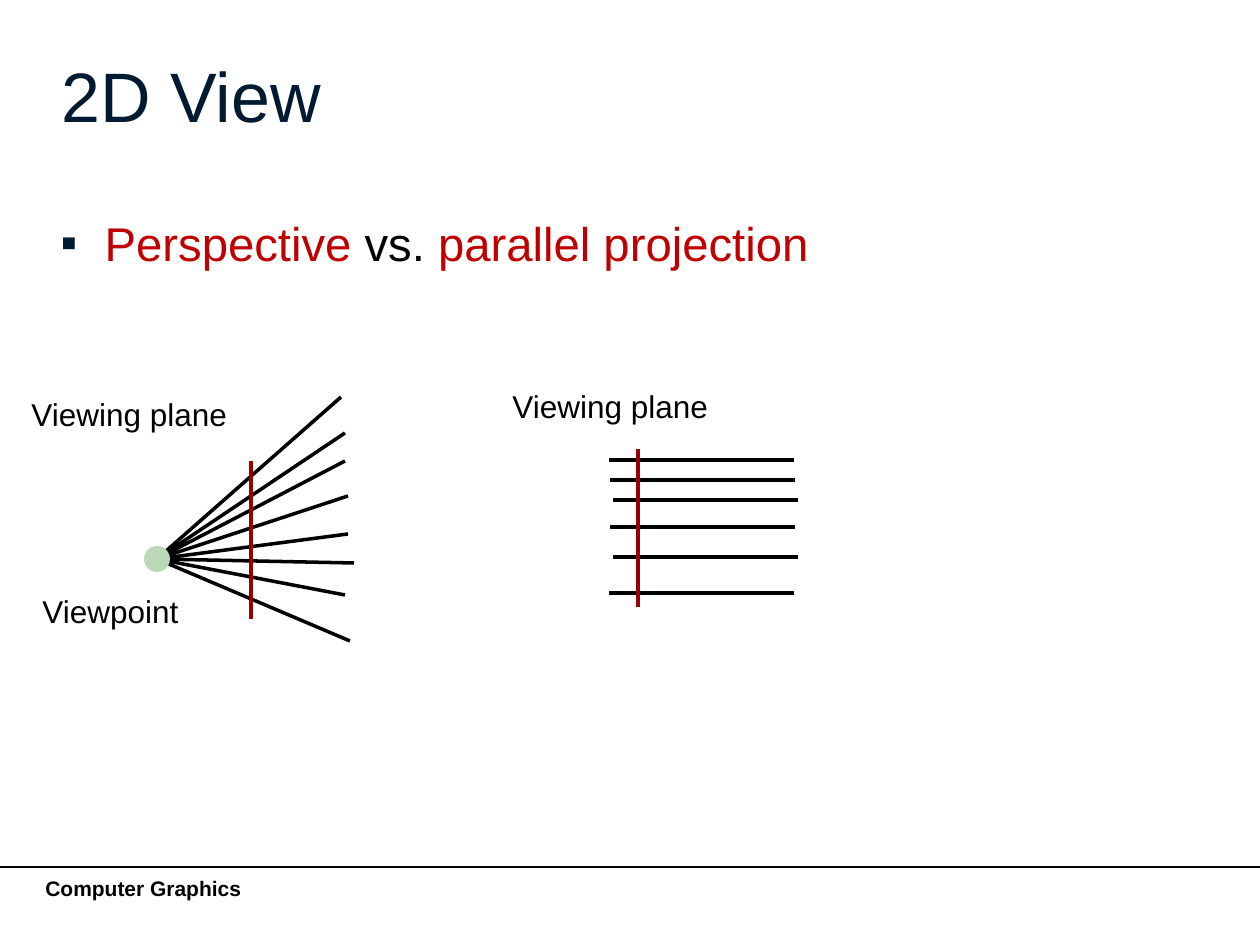
from lxml.etree import SubElement
from pptx import Presentation
from pptx.dml.color import RGBColor
from pptx.enum.shapes import MSO_CONNECTOR, MSO_SHAPE
from pptx.enum.text import MSO_ANCHOR, PP_ALIGN
from pptx.oxml.ns import qn
from pptx.util import Pt

EMU_PER_PX = 914400 / 126
BLACK, NAVY, RED, DARK_RED, GREEN = "000000", "001B31", "C00000", "990000", "BAD9B7"


def px(length):
    return round(length * EMU_PER_PX)


def color(hex_string):
    return RGBColor.from_string(hex_string)


class SlideBuilder:
    """Holds the style and the current slide."""

    font = "Arial"

    def __init__(self, slide):
        self.slide = slide

    def style_run(self, run, size, hex_string, bold=False):
        run.font.name = self.font
        run.font.size = Pt(size)
        run.font.bold = bold
        run.font.color.rgb = color(hex_string)

    def place(self, shape, left, top, width, height):
        shape.left, shape.top = px(left), px(top)
        shape.width, shape.height = px(width), px(height)

    def title(self, text, box, size, hex_string):
        shape = self.slide.shapes.title
        self.place(shape, *box)
        text_frame = shape.text_frame
        text_frame.text = text
        text_frame.vertical_anchor = MSO_ANCHOR.MIDDLE
        paragraph = text_frame.paragraphs[0]
        paragraph.alignment = PP_ALIGN.LEFT
        self.style_run(paragraph.runs[0], size, hex_string)

    def bullet(self, parts, box, size, indent):
        """One bulleted line in the body placeholder; parts are (text, colour)."""
        shape = self.slide.placeholders[1]
        self.place(shape, *box)
        shape.text_frame.vertical_anchor = MSO_ANCHOR.TOP
        paragraph = shape.text_frame.paragraphs[0]
        paragraph.line_spacing = 1.1
        paragraph.space_before = paragraph.space_after = Pt(6)
        for text, hex_string in parts:
            run = paragraph.add_run()
            run.text = text
            self.style_run(run, size, hex_string)
        properties = paragraph._p.get_or_add_pPr()
        properties.set("marL", str(px(indent)))
        properties.set("indent", str(-px(indent)))
        bullet_color = SubElement(properties, qn("a:buClr"))
        SubElement(bullet_color, qn("a:srgbClr"), val=NAVY)
        SubElement(properties, qn("a:buFont"), typeface=self.font)
        SubElement(properties, qn("a:buChar"), char="▪")

    def label(self, text, box, size=18, bold=False):
        shape = self.slide.shapes.add_textbox(*map(px, box))
        shape.text_frame.word_wrap = True
        shape.text_frame.text = text
        self.style_run(shape.text_frame.paragraphs[0].runs[0], size, BLACK, bold)

    def line(self, start, end, hex_string=BLACK, width=2):
        connector = self.slide.shapes.add_connector(
            MSO_CONNECTOR.STRAIGHT, *map(px, (*start, *end)))
        connector.line.color.rgb = color(hex_string)
        connector.line.width = Pt(width)
        SubElement(connector._element.spPr, qn("a:effectLst"))

    def dot(self, center, radius, hex_string):
        left, top = center[0] - radius, center[1] - radius
        shape = self.slide.shapes.add_shape(
            MSO_SHAPE.OVAL, *map(px, (left, top, 2 * radius, 2 * radius)))
        shape.shadow.inherit = False
        shape.fill.solid()
        shape.fill.fore_color.rgb = color(hex_string)
        shape.line.fill.background()


def main():
    presentation = Presentation()
    presentation.slide_width, presentation.slide_height = px(1260), px(945)
    slide = presentation.slides.add_slide(presentation.slide_layouts[1])
    builder = SlideBuilder(slide)

    # Footer
    builder.label("Computer Graphics", (33, 869, 1036, 73), size=12, bold=True)
    builder.line((0, 867), (1260, 867), width=1)

    # Title and statement
    builder.title("2D View", (49, 32, 1159, 126), 40, NAVY)
    builder.bullet(
        [("Perspective", RED), (" vs. ", BLACK), ("parallel projection", RED)],
        (48, 202, 1159, 76), 27, indent=44)

    # Perspective projection: rays fan out from the viewpoint
    viewpoint = (157, 559)
    ray_ends = [(341, 397), (345, 433), (345, 461), (348, 496),
                (348, 534), (354, 563), (345, 595), (350, 641)]
    for ray_end in ray_ends:
        builder.line(viewpoint, ray_end)
    builder.dot(viewpoint, 13, GREEN)

    # Parallel projection: level rays of equal length
    ray_length = 185
    for left, y in [(609, 460), (610, 480), (613, 500),
                    (610, 527), (613, 557), (609, 593)]:
        builder.line((left, y), (left + ray_length, y))

    # Viewing planes
    plane_height = 158
    for x, top in [(251, 461), (638, 449)]:
        builder.line((x, top), (x, top + plane_height), DARK_RED)

    # Labels
    builder.label("Viewpoint", (30, 586, 180, 50))
    for left, top in [(19, 389), (500, 381)]:
        builder.label("Viewing plane", (left, top, 261, 50))

    presentation.save("out.pptx")


if __name__ == "__main__":
    main()
